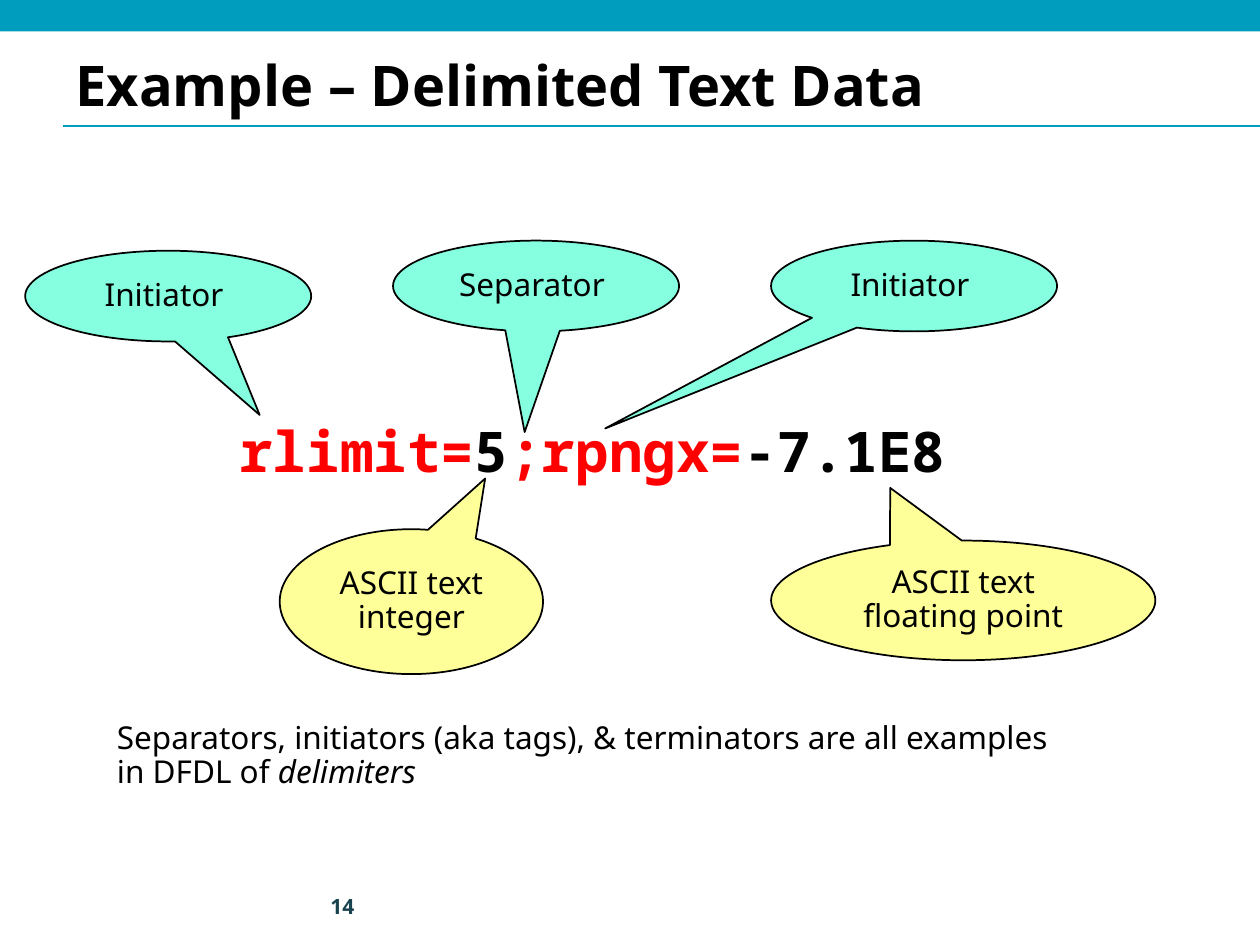
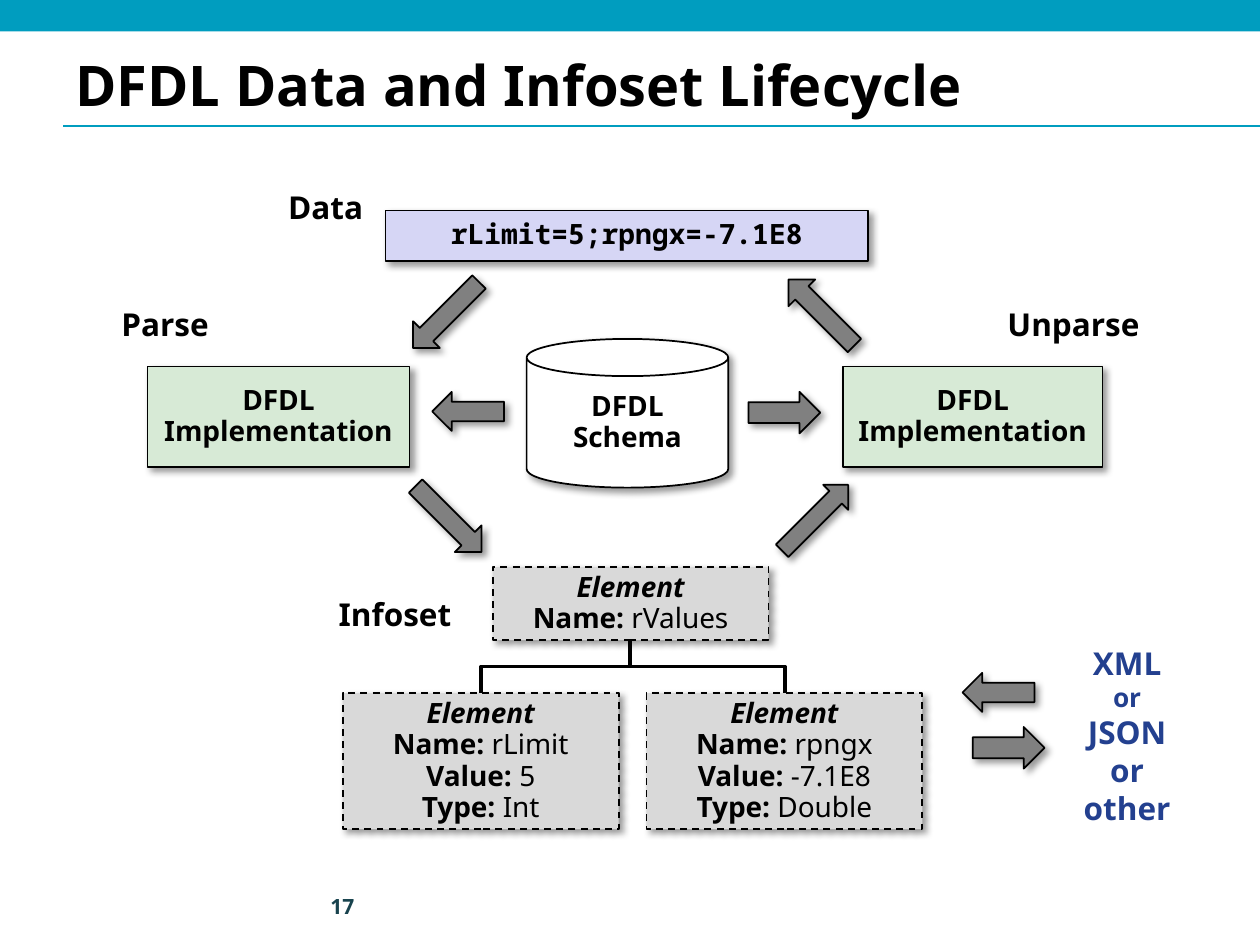
from dataclasses import dataclass
from typing import NamedTuple

import pptx
import pptx.dml.color
import pptx.enum.dml
import pptx.enum.shapes
import pptx.enum.text
import pptx.oxml
import pptx.oxml.ns
import pptx.oxml.xmlchemy
import pptx.util

RGB = pptx.dml.color.RGBColor
SHAPE = pptx.enum.shapes.MSO_SHAPE
CONNECTOR = pptx.enum.shapes.MSO_CONNECTOR
ALIGN = pptx.enum.text.PP_ALIGN
ANCHOR = pptx.enum.text.MSO_ANCHOR
qn = pptx.oxml.ns.qn

# Grid: 100 columns by 75 rows
WIDTH, HEIGHT = pptx.util.Inches(10), pptx.util.Inches(7.5)
COLS, ROWS = 100, 75

# Theme
BLACK = RGB(0x00, 0x00, 0x00)
WHITE = RGB(0xFF, 0xFF, 0xFF)
TEAL = RGB(0x00, 0x9D, 0xBF)
NUMBER_TEAL = RGB(0x18, 0x43, 0x4E)
RED = RGB(0xFF, 0x00, 0x00)
YELLOW = RGB(0xFF, 0xFF, 0x99)
MINT = RGB(0x85, 0xFF, 0xE0)
LAVENDER = RGB(0xD6, 0xD6, 0xF5)
GREEN = RGB(0xD7, 0xEA, 0xD6)
LIGHT_GRAY = RGB(0xD9, 0xD9, 0xD9)
GRAY = RGB(0x80, 0x80, 0x80)
NAVY = RGB(0x23, 0x40, 0x8F)
SANS, MONO = "Noto Sans", "Noto Sans Mono"


class Box(NamedTuple):
    col: float
    row: float
    cols: float
    rows: float


class Run(NamedTuple):
    text: str
    fmt: dict = {}


@dataclass
class Callout:
    text: str
    box: Box
    tip: tuple[float, float]
    fill: RGB


@dataclass
class Node:
    paragraphs: list
    box: Box
    fill: RGB
    kind: int = SHAPE.RECTANGLE
    font: str = SANS
    dashed: bool = False


@dataclass
class Arrow:
    box: Box
    angle: float = 0


@dataclass
class Label:
    text: str
    box: Box


def x(cols: float) -> int:
    return round(WIDTH * cols / COLS)


def y(rows: float) -> int:
    return round(HEIGHT * rows / ROWS)


def frame(box: Box) -> tuple[int, int, int, int]:
    return x(box.col), y(box.row), x(box.cols), y(box.rows)


# Text
def add_run(p, text: str, *, size: float = 18, font: str = SANS, color: RGB = BLACK,
            bold: bool = False, italic: bool = False) -> None:
    r = p.add_run()
    r.text = text
    r.font.size = pptx.util.Pt(size)
    r.font.name = font
    r.font.color.rgb = color
    r.font.bold = bold
    r.font.italic = italic


def fill_text(tf, paragraphs: list, *, align=ALIGN.CENTER, anchor=ANCHOR.MIDDLE,
              spacing: float = 0.93, wrap: bool = True, **fmt) -> None:
    """Each paragraph is a list of runs; fmt holds the format they share."""
    tf.word_wrap = wrap
    tf.vertical_anchor = anchor
    for i, runs in enumerate(paragraphs):
        p = tf.add_paragraph() if i else tf.paragraphs[0]
        p.alignment = align
        p.line_spacing = spacing
        for run in runs:
            add_run(p, run.text, **{**fmt, **run.fmt})


def add_text(slide, box: Box, paragraphs: list, **fmt) -> None:
    fill_text(slide.shapes.add_textbox(*frame(box)).text_frame, paragraphs, **fmt)


# Shapes and lines
def add_shape(slide, kind: int, box: Box, fill: RGB, line: RGB | None = BLACK,
              shadow: bool = False):
    sp = slide.shapes.add_shape(kind, *frame(box))
    sp.fill.solid()
    sp.fill.fore_color.rgb = fill
    if line is None:
        sp.line.fill.background()
    else:
        sp.line.color.rgb = line
        sp.line.width = pptx.util.Pt(1)
    sp.shadow.inherit = False
    if shadow:
        effects = sp._element.spPr.find(qn("a:effectLst"))
        effects.append(pptx.oxml.parse_xml(
            f'<a:outerShdw {pptx.oxml.ns.nsdecls("a")} blurRad="{pptx.util.Pt(4)}" '
            f'dist="{pptx.util.Pt(3)}" dir="2700000" algn="tl" rotWithShape="0">'
            '<a:srgbClr val="000000"><a:alpha val="40000"/></a:srgbClr></a:outerShdw>'))
    return sp


def add_line(slide, kind: int, start: tuple, end: tuple, color: RGB, width: float):
    cn = slide.shapes.add_connector(kind, x(start[0]), y(start[1]), x(end[0]), y(end[1]))
    cn.line.color.rgb = color
    cn.line.width = pptx.util.Pt(width)
    cn._element.spPr.append(pptx.oxml.xmlchemy.OxmlElement("a:effectLst"))
    return cn


def add_branch(slide, parent: tuple, child: tuple) -> None:
    """Elbow that leaves the parent downwards: a sideways elbow, turned."""
    dx, dy = child[0] - parent[0], child[1] - parent[1]
    mid_col, mid_row = parent[0] + dx / 2, parent[1] + dy / 2
    side = 1 if dx > 0 else -1
    reach, drop = abs(dx) / 2, side * dy / 2
    cn = add_line(slide, CONNECTOR.ELBOW, (mid_col + drop, mid_row - reach),
                  (mid_col - drop, mid_row + reach), BLACK, 2.25)
    angle = 270 if side > 0 else 90
    cn._element.spPr.find(qn("a:xfrm")).set("rot", str(angle * 60000))


def add_callout(slide, c: Callout) -> None:
    sp = add_shape(slide, SHAPE.OVAL_CALLOUT, c.box, c.fill)
    sp.adjustments[0], sp.adjustments[1] = c.tip
    fill_text(sp.text_frame, [[Run(c.text)]], spacing=0.9)


def add_node(slide, n: Node) -> None:
    sp = add_shape(slide, n.kind, n.box, n.fill, shadow=True)
    if n.dashed:
        sp.line.dash_style = pptx.enum.dml.MSO_LINE.DASH
    fill_text(sp.text_frame, n.paragraphs, size=16, font=n.font, bold=True)


def add_arrow(slide, a: Arrow) -> None:
    sp = add_shape(slide, SHAPE.RIGHT_ARROW, a.box, GRAY, shadow=True)
    sp.rotation = a.angle


def element(box: Box, **fields: str) -> Node:
    paragraphs = [[Run("Element", {"italic": True})]]
    for name, value in fields.items():
        paragraphs.append([Run(f"{name}: "), Run(value, {"bold": False})])
    return Node(paragraphs, box, LIGHT_GRAY, dashed=True)


# Shared slide frame
def add_slide(prs, title: str, number: int):
    slide = prs.slides.add_slide(prs.slide_layouts[6])
    add_line(slide, CONNECTOR.STRAIGHT, (5, 10), (COLS, 10), TEAL, 0.75)
    add_shape(slide, SHAPE.RECTANGLE, Box(0, 0, COLS, 2.5), TEAL, line=None)
    add_text(slide, Box(5, 3.8, 90, 6.1), [[Run(title)]], align=ALIGN.LEFT,
             spacing=0.98, size=32, bold=True)
    add_text(slide, Box(23, 69.9, 6.1, 4), [[Run(str(number))]], align=ALIGN.RIGHT,
             spacing=1, size=12, color=NUMBER_TEAL, bold=True)
    return slide


# Delimited text slide
DELIMITER = {"color": RED}
DATA_LINE = [Run("rlimit=", DELIMITER), Run("5"), Run(";rpngx=", DELIMITER), Run("-7.1E8")]
CALLOUTS = [
    Callout("ASCII text integer", Box(22.2, 42, 20.9, 11.5), (0.28, -0.85), YELLOW),
    Callout("ASCII text floating point", Box(61.2, 42.9, 30.5, 9.5), (-0.19, -0.94), YELLOW),
    Callout("Separator ", Box(31.2, 19.1, 22.7, 7.2), (-0.04, 1.61), MINT),
    Callout("Initiator ", Box(61.2, 19.1, 22.7, 7.2), (-1.08, 1.57), MINT),
    Callout("Initiator ", Box(2, 19.9, 22.7, 7.2), (0.32, 1.31), MINT),
]


def build_delimited_text(prs) -> None:
    slide = add_slide(prs, "Example – Delimited Text Data", 14)
    add_text(slide, Box(18, 33, 87.2, 7.5), [DATA_LINE], align=ALIGN.LEFT,
             anchor=ANCHOR.TOP, size=32, font=MONO, bold=True)
    for callout in CALLOUTS:
        add_callout(slide, callout)
    summary = [Run("Separators, initiators (aka tags), & terminators are all examples "
                   "in DFDL of "), Run("delimiters", {"italic": True})]
    add_text(slide, Box(8.3, 56.8, 76.5, 6.5), [summary], align=ALIGN.LEFT,
             anchor=ANCHOR.TOP, spacing=0.9)


# Lifecycle slide
IMPLEMENTATION = [[Run("DFDL Implementation")]]
NODES = [
    Node([[Run("rLimit=5;rpngx=-7.1E8")]], Box(30.6, 16.7, 38.3, 4), LAVENDER, font=MONO),
    Node(IMPLEMENTATION, Box(11.7, 29.1, 20.8, 8), GREEN),
    Node([[Run("DFDL Schema")]], Box(41.8, 26.9, 16, 11.8), WHITE, kind=SHAPE.CAN),
    Node(IMPLEMENTATION, Box(66.9, 29.1, 20.6, 8), GREEN),
    element(Box(39.1, 45, 21.9, 5.8), Name="rValues"),
    element(Box(51.3, 55, 21.9, 10.8), Name="rpngx", Value="-7.1E8", Type="Double"),
    element(Box(27.2, 55, 21.9, 10.8), Name="rLimit", Value="5", Type="Int"),
]
ARROWS = [
    Arrow(Box(61, 39.7, 7.4, 2.8), 315),
    Arrow(Box(31.7, 23.5, 7.4, 3), 135),
    Arrow(Box(34.3, 31.1, 5.7, 3.1), 180),
    Arrow(Box(59.4, 31.1, 5.7, 3.3)),
    Arrow(Box(61.5, 23.3, 7.4, 3), 225),
    Arrow(Box(31.9, 39.7, 7.4, 3), 45),
    Arrow(Box(76.4, 53.4, 5.7, 3.1), 180),
    Arrow(Box(77.2, 57.7, 5.7, 3.3)),
]
LABELS = [
    Label("Parse", Box(8.6, 24, 9, 3.8)),
    Label("Unparse", Box(78.9, 24, 12.6, 3.8)),
    Label("Infoset", Box(25.8, 47, 11.1, 3.8)),
    Label("Data", Box(21.8, 14.7, 8.1, 3.8)),
]
FORMATS = [[Run("XML")], [Run("or", {"size": 15})], [Run("JSON")], [Run("or")], [Run("other")]]


def build_lifecycle(prs) -> None:
    slide = add_slide(prs, "DFDL Data and Infoset Lifecycle", 17)
    for node in NODES:
        add_node(slide, node)
    for child_col in (38.2, 62.3):
        add_branch(slide, (50, 50.8), (child_col, 55))
    for arrow in ARROWS:
        add_arrow(slide, arrow)
    for label in LABELS:
        add_text(slide, label.box, [[Run(label.text)]], anchor=ANCHOR.TOP,
                 wrap=False, bold=True)
    add_text(slide, Box(85, 50.6, 8.9, 15.6), FORMATS, anchor=ANCHOR.TOP,
             spacing=1, wrap=False, color=NAVY, bold=True)


def main() -> None:
    prs = pptx.Presentation()
    prs.slide_width, prs.slide_height = WIDTH, HEIGHT
    build_delimited_text(prs)
    build_lifecycle(prs)
    prs.save("out.pptx")


if __name__ == "__main__":
    main()
